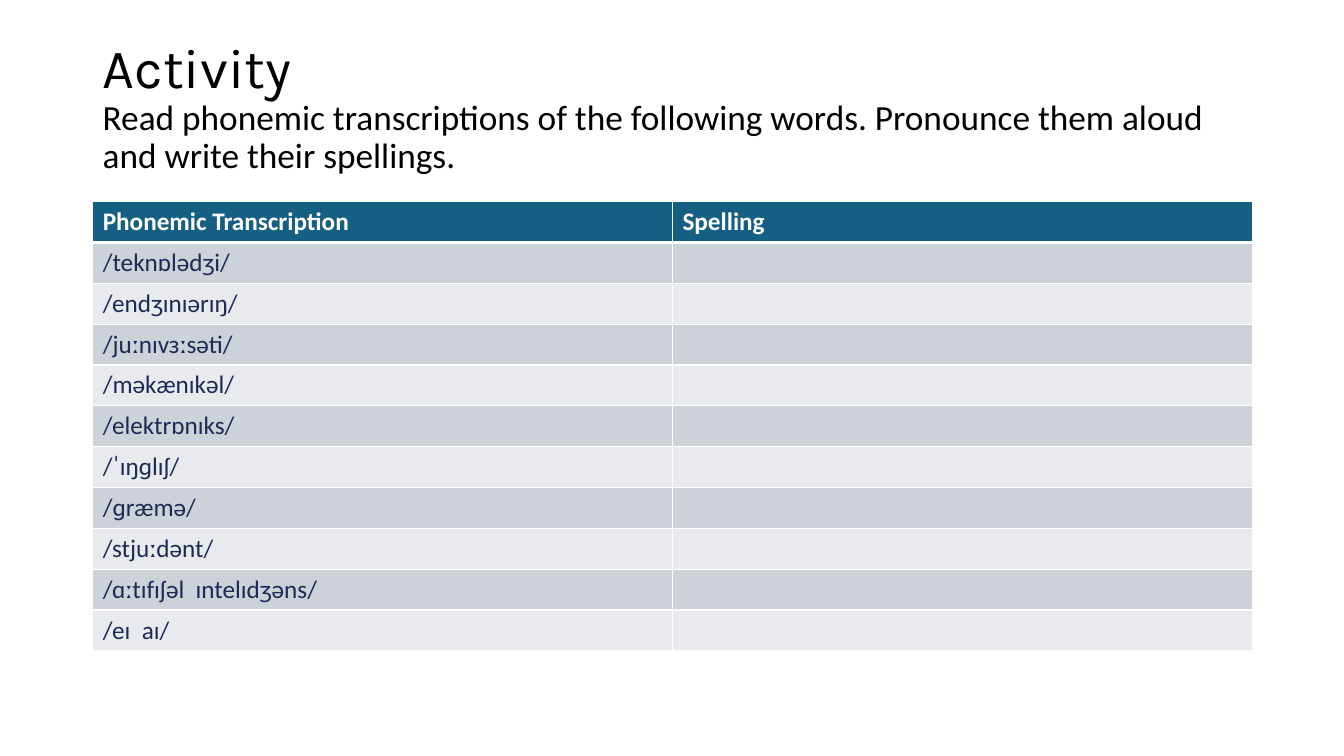
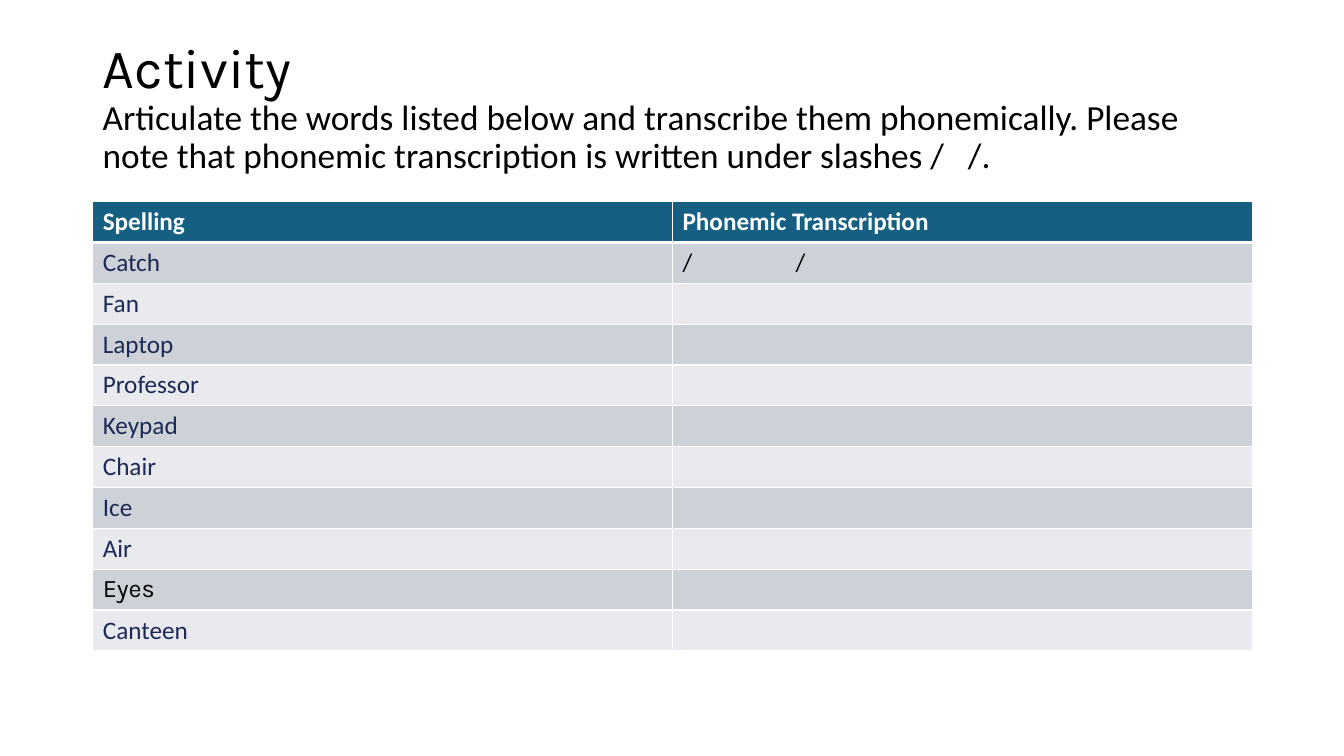
from dataclasses import dataclass

from lxml.etree import SubElement
from pptx import Presentation
from pptx.dml.color import RGBColor as RGB
from pptx.enum.text import MSO_ANCHOR
from pptx.oxml.ns import qn
from pptx.util import Inches, Pt


@dataclass(frozen=True)
class Theme:
    body_font: str = "Calibri"
    title_font: str = "Karla"
    title_size: float = 39.6
    task_size: float = 25.2
    cell_size: float = 18
    black: str = "000000"
    white: str = "FFFFFF"
    navy: str = "1D2A57"
    header: str = "156082"
    bands: tuple = ("CCD2D8", "E8EAED")
    thin: float = 1
    thick: float = 3


THEME = Theme()
TITLE_BOX = (0.92, 0.4, 11.49, 1.35)
TABLE_BOX = (0.92, 2, 11.5, 4.46)

HEADINGS = ("Phonemic Transcription", "Spelling")
TRANSCRIPTIONS = (
    "/teknɒlədʒi/", "/endʒɪnɪərɪŋ/", "/juːnɪvɜːsəti/", "/məkænɪkəl/",
    "/elektrɒnɪks/", "/ˈɪŋɡlɪʃ/", "/ɡræmə/", "/stjuːdənt/",
    "/ɑːtɪfɪʃəl  ɪntelɪdʒəns/", "/eɪ  aɪ/",
)
WORDS = ("Catch", "Fan", "Laptop", "Professor", "Keypad",
         "Chair", "Ice", "Air", "Eyes", "Canteen")


def style(p, font, size, color, bold=False):
    p.font.name = font
    p.font.size = Pt(size)
    p.font.bold = bold
    p.font.color.rgb = RGB.from_string(color)


def add_title(slide, box, task):
    sp = slide.shapes.add_textbox(*map(Inches, box))
    tf = sp.text_frame
    tf.word_wrap = True
    tf.vertical_anchor = MSO_ANCHOR.MIDDLE
    tf.text = f"Activity\n{task}"
    for p in tf.paragraphs:
        p.line_spacing = 0.9
    heading, instruction = tf.paragraphs
    style(heading, THEME.title_font, THEME.title_size, THEME.black)
    style(instruction, THEME.body_font, THEME.task_size, THEME.black)


def set_borders(cell, top, bottom):
    """Draw white borders; top and bottom are widths in points."""
    props = cell._tc.get_or_add_tcPr()
    widths = {"a:lnL": THEME.thin, "a:lnR": THEME.thin, "a:lnT": top, "a:lnB": bottom}
    for tag, width in widths.items():
        line = SubElement(props, qn(tag), w=str(Pt(width)))
        fill = SubElement(line, qn("a:solidFill"))
        SubElement(fill, qn("a:srgbClr"), val=THEME.white)


def add_tab_stop(p, position):
    tabs = SubElement(p._p.get_or_add_pPr(), qn("a:tabLst"))
    SubElement(tabs, qn("a:tab"), pos=str(Inches(position)), algn="l")


def add_word_table(slide, box, headings, words):
    """Add a banded table with the words on the left and room for answers."""
    rows = [headings] + [(word, "") for word in words]
    table = slide.shapes.add_table(len(rows), len(headings), *map(Inches, box)).table
    for r, row in enumerate(rows):
        is_header = r == 0
        for c, text in enumerate(row):
            cell = table.cell(r, c)
            set_borders(cell,
                        top=THEME.thick if r == 1 else THEME.thin,
                        bottom=THEME.thick if is_header else THEME.thin)
            cell.fill.solid()
            fill = THEME.header if is_header else THEME.bands[(r - 1) % 2]
            cell.fill.fore_color.rgb = RGB.from_string(fill)
            cell.text = text
            style(cell.text_frame.paragraphs[0], THEME.body_font, THEME.cell_size,
                  THEME.white if is_header else THEME.navy, is_header)
    return table


def add_activity(prs, task, headings, words):
    slide = prs.slides.add_slide(prs.slide_layouts[6])
    add_title(slide, TITLE_BOX, task)
    return add_word_table(slide, TABLE_BOX, headings, words)


def add_spelling_activity(prs):
    add_activity(
        prs,
        "Read phonemic transcriptions of the following words. "
        "Pronounce them aloud and write their spellings.",
        HEADINGS, TRANSCRIPTIONS)


def add_transcription_activity(prs):
    table = add_activity(
        prs,
        "Articulate the words listed below and transcribe them phonemically. "
        "Please note that phonemic transcription is written under slashes /   /.",
        HEADINGS[::-1], WORDS)

    answer = table.cell(1, 1)
    answer.text = "/\t/"
    p = answer.text_frame.paragraphs[0]
    add_tab_stop(p, 1.12)
    style(p, THEME.body_font, THEME.cell_size, THEME.black)

    eyes = table.cell(WORDS.index("Eyes") + 1, 0).text_frame.paragraphs[0]
    style(eyes, THEME.title_font, THEME.cell_size, THEME.black)


def main():
    prs = Presentation()
    prs.slide_width, prs.slide_height = Inches(13.33), Inches(7.5)
    add_spelling_activity(prs)
    add_transcription_activity(prs)
    prs.save("out.pptx")


if __name__ == "__main__":
    main()
